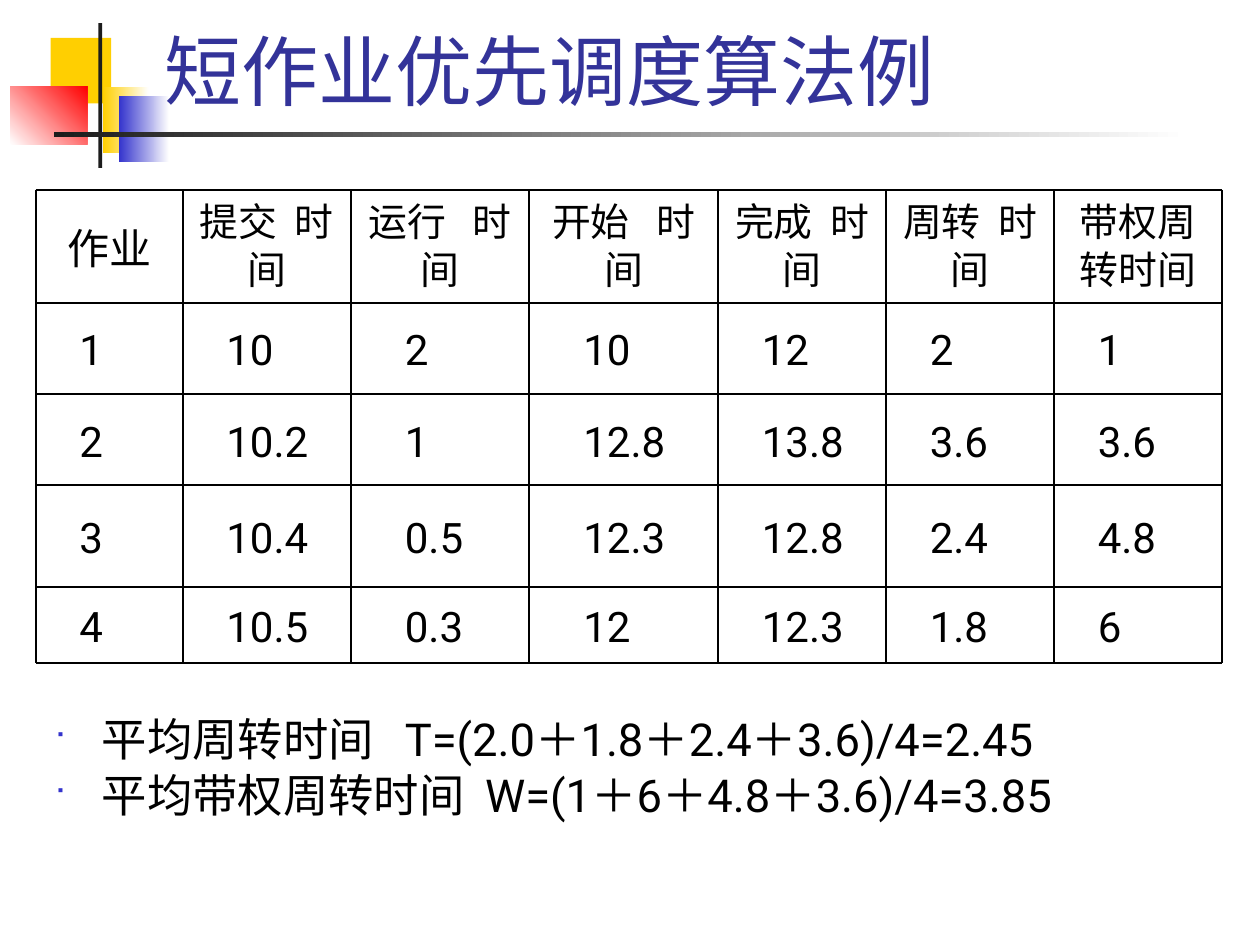
"""Build a slide on the shortest-job-first scheduling example."""
from itertools import accumulate
from typing import NamedTuple, Optional

from lxml.etree import SubElement
from pptx import Presentation
from pptx.dml.color import RGBColor
from pptx.enum.shapes import MSO_CONNECTOR, MSO_SHAPE
from pptx.enum.text import MSO_ANCHOR, PP_ALIGN
from pptx.oxml.ns import qn
from pptx.util import Pt

FONT = "Roboto"
BLACK = RGBColor(0x00, 0x00, 0x00)
WHITE = RGBColor(0xFF, 0xFF, 0xFF)
INK = RGBColor(0x1C, 0x1C, 0x1C)
GOLD = RGBColor(0xFF, 0xCF, 0x01)
RED = RGBColor(0xFF, 0x00, 0x00)
BLUE = RGBColor(0x33, 0x33, 0xCC)
NAVY = RGBColor(0x33, 0x33, 0x99)
SPACE_RATIO = 0.23


class Block(NamedTuple):
    """A decorative rectangle, solid or fading to a second colour."""
    left: float
    top: float
    width: float
    height: float
    color: RGBColor
    fade: Optional[RGBColor] = None
    angle: float = 0


class Label(NamedTuple):
    """Text whose two parts are set apart by a gap counted in spaces."""
    first: str
    second: str = ""
    gap: int = 1


class Column(NamedTuple):
    """A table column with its heading, width, value indent and values."""
    label: Label
    width: float
    indent: float
    values: tuple[str, ...]
    size: float = 22.2
    spacing: float = 0.84


BLOCKS = (
    Block(29, 21.6, 34.5, 37.5, GOLD),
    Block(59, 49.7, 26, 37.5, GOLD, WHITE),
    Block(68, 55, 28.8, 37.5, BLUE, WHITE),
    Block(5.8, 49.3, 44, 33.2, WHITE, RED, 45),
    Block(56.2, 13.2, 2.2, 82.8, INK),
    Block(31, 75.5, 648, 2.6, INK, WHITE),
)
COLUMNS = (
    Column(Label("作业"), 84, 25, ("1", "2", "3", "4"), 24, 1),
    Column(Label("提交", "时间", 2), 96, 25, ("10", "10.2", "10.4", "10.5")),
    Column(Label("运行", "时间", 3), 102, 31, ("2", "1", "0.5", "0.3")),
    Column(Label("开始", "时间", 3), 108, 31, ("10", "12.8", "12.3", "12")),
    Column(Label("完成", "时间", 2), 96, 25, ("12", "13.8", "12.8", "12.3")),
    Column(Label("周转", "时间", 2), 96, 25, ("2", "3.6", "2.4", "1.8")),
    Column(Label("带权周转时间"), 96, 25, ("1", "3.6", "4.8", "6")),
)
ROW_HEIGHTS = (64.5, 52.3, 52, 58, 43.7)
TABLE_LEFT, TABLE_TOP = 20.4, 108.5
AVERAGES = (
    Label("平均周转时间", "T=(2.0＋1.8＋2.4＋3.6)/4=2.45", 3),
    Label("平均带权周转时间", "W=(1＋6＋4.8＋3.6)/4=3.85", 2),
)


def write(p, label: Label, size: float, color: RGBColor = BLACK) -> None:
    """Write a label into a paragraph, widening the space between its parts."""
    p.add_run().text = label.first
    if label.second:
        r = p.add_run()
        r.text = " "
        extra = (label.gap - 1) * SPACE_RATIO * size
        r._r.get_or_add_rPr().set("spc", str(round(extra * 100)))
        p.add_run().text = label.second
    p.font.name = FONT
    p.font.size = Pt(size)
    p.font.color.rgb = color


def draw_block(s, block: Block) -> None:
    """Draw one decorative rectangle."""
    sp = s.shapes.add_shape(MSO_SHAPE.RECTANGLE, *map(Pt, block[:4]))
    sp.shadow.inherit = False
    sp.line.fill.background()
    if block.fade is None:
        sp.fill.solid()
        sp.fill.fore_color.rgb = block.color
        return
    sp.fill.gradient()
    sp.fill.gradient_angle = block.angle
    for stop, color in zip(sp.fill.gradient_stops, (block.color, block.fade)):
        stop.color.rgb = color


def add_text_frame(s, left: float, top: float, width: float, height: float):
    """Add a wrapping text box and return its text frame."""
    tf = s.shapes.add_textbox(Pt(left), Pt(top), Pt(width), Pt(height)).text_frame
    tf.word_wrap = True
    return tf


def style_cell(cell) -> None:
    """Clear a cell's fill and anchor its text in the middle."""
    cell.fill.background()
    cell.vertical_anchor = MSO_ANCHOR.MIDDLE


def draw_table(s) -> None:
    """Draw the table of job times."""
    width = sum(column.width for column in COLUMNS)
    table = s.shapes.add_table(
        len(ROW_HEIGHTS), len(COLUMNS),
        Pt(TABLE_LEFT), Pt(TABLE_TOP), Pt(width), Pt(sum(ROW_HEIGHTS)),
    ).table
    table.first_row = table.horz_banding = False
    for row, height in zip(table.rows, ROW_HEIGHTS):
        row.height = Pt(height)
    for i, column in enumerate(COLUMNS):
        table.columns[i].width = Pt(column.width)
        head = table.cell(0, i)
        style_cell(head)
        p = head.text_frame.paragraphs[0]
        p.alignment = PP_ALIGN.CENTER
        p.line_spacing = column.spacing
        write(p, column.label, column.size)
        for j, value in enumerate(column.values, 1):
            cell = table.cell(j, i)
            style_cell(cell)
            cell.margin_left = Pt(column.indent)
            cell.margin_top = Pt(7)
            write(cell.text_frame.paragraphs[0], Label(value), 24)


def draw_rule(s, x1: float, y1: float, x2: float, y2: float) -> None:
    """Draw one thin black table rule."""
    line = s.shapes.add_connector(
        MSO_CONNECTOR.STRAIGHT, Pt(x1), Pt(y1), Pt(x2), Pt(y2))
    line.line.color.rgb = BLACK
    line.line.width = Pt(1)
    SubElement(line._element.spPr, qn("a:effectLst"))


def draw_rules(s) -> None:
    """Draw the rules around and between the table cells."""
    xs = list(accumulate((c.width for c in COLUMNS), initial=TABLE_LEFT))
    ys = list(accumulate(ROW_HEIGHTS, initial=TABLE_TOP))
    for y in ys:
        draw_rule(s, xs[0], y, xs[-1], y)
    for x in xs:
        draw_rule(s, x, ys[0], x, ys[-1])


def add_bullet(p) -> None:
    """Give a paragraph a hanging blue square bullet."""
    p_pr = p._p.get_or_add_pPr()
    p_pr.set("marL", str(Pt(27)))
    p_pr.set("indent", str(Pt(-27)))
    SubElement(SubElement(p_pr, qn("a:buClr")), qn("a:srgbClr"), val=str(BLUE))
    SubElement(p_pr, qn("a:buSzPct"), val="60000")
    SubElement(p_pr, qn("a:buFont"), typeface="Wingdings")
    SubElement(p_pr, qn("a:buChar"), char="■")


def draw_averages(s) -> None:
    """Draw the two bulleted averages."""
    tf = add_text_frame(s, 24, 409, 672, 78)
    for i, label in enumerate(AVERAGES):
        p = tf.add_paragraph() if i else tf.paragraphs[0]
        add_bullet(p)
        p.alignment = PP_ALIGN.JUSTIFY
        p.line_spacing = 0.8
        p.space_before = Pt(7)
        write(p, label, 25.9)


def main() -> None:
    """Build and save the slide."""
    prs = Presentation()
    prs.slide_width, prs.slide_height = Pt(720), Pt(540)
    s = prs.slides.add_slide(prs.slide_layouts[6])
    for block in BLOCKS:
        draw_block(s, block)
    tf = add_text_frame(s, 87, 12.2, 613, 57.6)
    tf.vertical_anchor = MSO_ANCHOR.BOTTOM
    write(tf.paragraphs[0], Label("短作业优先调度算法例"), 44, NAVY)
    draw_averages(s)
    draw_table(s)
    draw_rules(s)
    prs.save("out.pptx")


if __name__ == "__main__":
    main()
